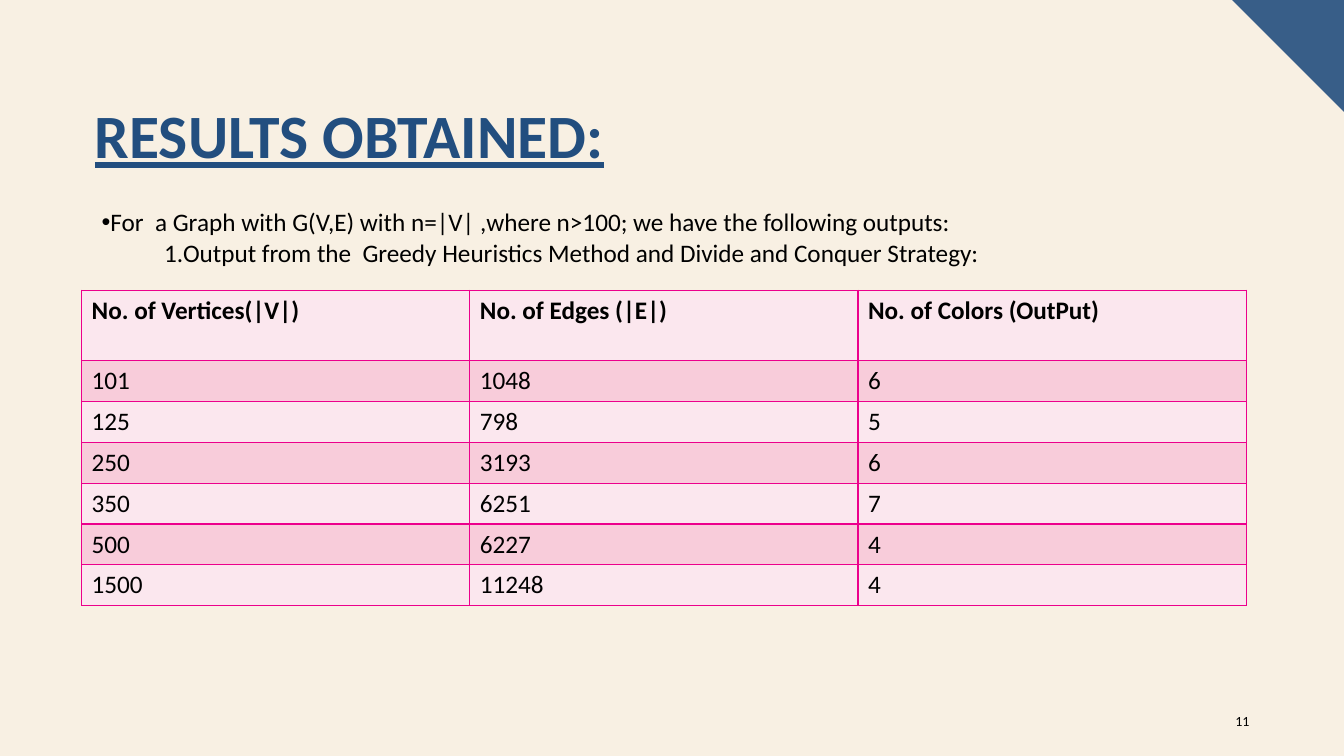
from pptx import Presentation
from pptx.dml.color import RGBColor as RGB
from pptx.enum.text import MSO_ANCHOR as ANCHOR, PP_ALIGN as ALIGN
from pptx.oxml.ns import qn
from pptx.util import Inches, Pt
from lxml.etree import SubElement

W, H = 13.33, 7.5
FONT = "Calibri"
COLORS = {
    "page": "F8F0E3", "corner": "385E88", "title": "224E7F", "text": "000000",
    "light": "FBE7EE", "dark": "F8CCDA", "border": "EC008C",
}
RESULTS = [
    ("No. of Vertices(|V|)", "No. of Edges (|E|)", "No. of Colors (OutPut)"),
    (101, 1048, 6),
    (125, 798, 5),
    (250, 3193, 6),
    (350, 6251, 7),
    (500, 6227, 4),
    (1500, 11248, 4),
]


def rgb(name):
    return RGB.from_string(COLORS[name])


def write(p, text, size=18, color="text", bold=False, underline=False, align=ALIGN.LEFT):
    p.alignment = align
    r = p.add_run()
    r.text = str(text)
    f = r.font
    f.name, f.size, f.bold, f.underline = FONT, Pt(size), bold, underline
    f.color.rgb = rgb(color)


def text_frame(slide, box, anchor=ANCHOR.TOP):
    tf = slide.shapes.add_textbox(*map(Inches, box)).text_frame
    tf.word_wrap = True
    tf.vertical_anchor = anchor
    return tf


def add_corner(slide, box):
    x, y, w, h = box
    builder = slide.shapes.build_freeform(Inches(x), Inches(y))
    builder.add_line_segments([(Inches(x + w), Inches(y)), (Inches(x + w), Inches(y + h))])
    sp = builder.convert_to_shape()
    sp.shadow.inherit = False
    sp.fill.solid()
    sp.fill.fore_color.rgb = rgb("corner")
    sp.line.fill.background()


def add_title(slide, box, text):
    sp = slide.shapes.title
    sp.left, sp.top, sp.width, sp.height = map(Inches, box)
    tf = sp.text_frame
    tf.vertical_anchor = ANCHOR.MIDDLE
    p = tf.paragraphs[0]
    p.line_spacing = 0.9
    write(p, text, size=44, color="title", bold=True, underline=True)


def add_intro(slide, box, lead, detail, indent):
    tf = text_frame(slide, box)
    p = tf.paragraphs[0]
    pPr = p._p.get_or_add_pPr()
    SubElement(pPr, qn("a:buFont"), typeface="Arial")
    SubElement(pPr, qn("a:buChar"), char="•")
    write(p, lead)
    p = tf.add_paragraph()
    p._p.get_or_add_pPr().set("marL", str(Inches(indent)))
    write(p, detail)


def add_borders(cell):
    tcPr = cell._tc.get_or_add_tcPr()
    for side in ("L", "R", "T", "B"):
        ln = SubElement(tcPr, qn(f"a:ln{side}"), w=str(Pt(1)))
        fill = SubElement(ln, qn("a:solidFill"))
        SubElement(fill, qn("a:srgbClr"), val=COLORS["border"])


def add_results(slide, box, data, head_height):
    rows, cols = len(data), len(data[0])
    table = slide.shapes.add_table(rows, cols, *map(Inches, box)).table
    row_height = (box[3] - head_height) / (rows - 1)
    for i, values in enumerate(data):
        table.rows[i].height = Inches(row_height if i else head_height)
        for j, value in enumerate(values):
            cell = table.cell(i, j)
            add_borders(cell)
            cell.fill.solid()
            cell.fill.fore_color.rgb = rgb("dark" if i % 2 else "light")
            write(cell.text_frame.paragraphs[0], value, bold=i == 0)


def add_number(slide, box, number):
    tf = text_frame(slide, box, ANCHOR.MIDDLE)
    write(tf.paragraphs[0], number, size=10, align=ALIGN.RIGHT)


def main():
    prs = Presentation()
    prs.slide_width, prs.slide_height = Inches(W), Inches(H)
    slide = prs.slides.add_slide(prs.slide_layouts[5])
    slide.background.fill.solid()
    slide.background.fill.fore_color.rgb = rgb("page")
    corner = 1.11
    add_corner(slide, (W - corner, 0, corner, corner))
    add_title(slide, (0.84, 0.98, 6.69, 0.79), "RESULTS OBTAINED:")
    add_number(slide, (11.99, 6.95, 0.5, 0.4), 11)
    add_intro(
        slide, (0.91, 2, 11.39, 0.71),
        "For  a Graph with G(V,E) with n=|V| ,where n>100; we have the following outputs:",
        "1.Output from the  Greedy Heuristics Method and Divide and Conquer Strategy:",
        indent=0.62,
    )
    add_results(slide, (0.81, 2.88, 11.55, 3.13), RESULTS, head_height=0.7)
    prs.save("out.pptx")


if __name__ == "__main__":
    main()
